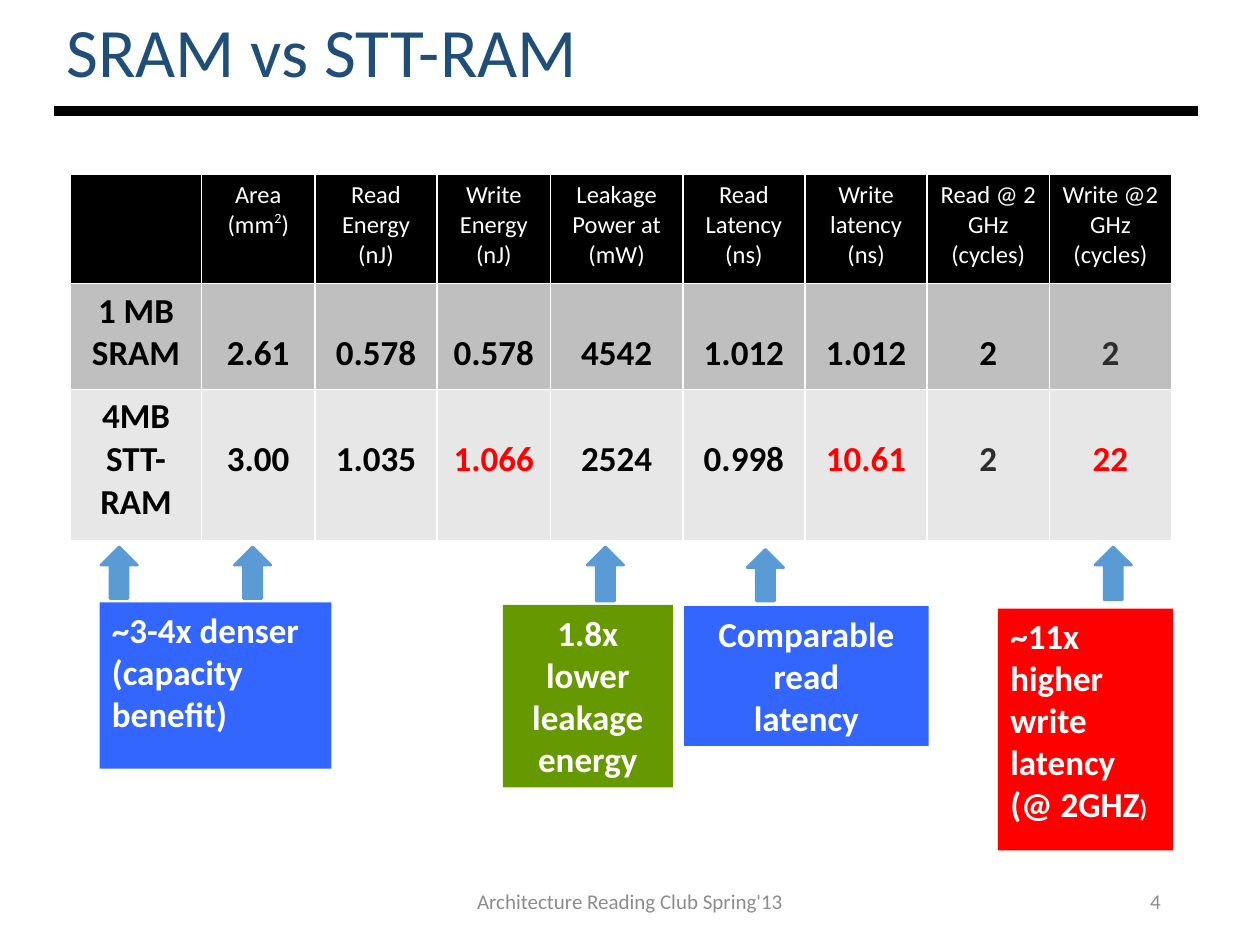
from dataclasses import dataclass

from lxml import etree
from pptx import Presentation
from pptx.dml.color import RGBColor
from pptx.enum.shapes import MSO_CONNECTOR, MSO_SHAPE
from pptx.enum.text import MSO_ANCHOR, PP_ALIGN
from pptx.oxml.ns import qn
from pptx.util import Inches, Pt

LEFT, CENTER, RIGHT = PP_ALIGN.LEFT, PP_ALIGN.CENTER, PP_ALIGN.RIGHT
TOP, MIDDLE = MSO_ANCHOR.TOP, MSO_ANCHOR.MIDDLE
UP_ARROW, RECTANGLE = MSO_SHAPE.UP_ARROW, MSO_SHAPE.RECTANGLE
STRAIGHT = MSO_CONNECTOR.STRAIGHT

FONT = "Calibri"
BLACK, WHITE, RED, BLUE, GREEN = "000000", "FFFFFF", "FF0000", "3366FF", "669900"
DARK_GRAY, FOOTER_GRAY, TITLE_BLUE, ARROW_BLUE = "2D2D2D", "8C8C8C", "1F4E79", "5B9BD5"

COLUMN_WIDTHS = [1.04, 0.9, 0.97, 0.9, 1.05, 0.97, 0.97, 0.97, 0.97]
HEADINGS = ["", "Area (mm", "Read Energy (nJ)", "Write Energy (nJ)",
            "Leakage Power at (mW)", "Read Latency (ns)", "Write latency (ns)",
            "Read @ 2 GHz (cycles)", "Write @2 GHz (cycles)"]
ONE_LINE_DOWN = 0.39  # top margin that sets a value on the second text line


@dataclass
class MemoryRow:
    height: float
    fill: str
    texts: list[str]
    colors: dict[int, str]


@dataclass
class Callout:
    box: tuple[float, float, float, float]
    fill: str
    lines: list[str]
    align: PP_ALIGN
    arrows: list[tuple[float, float, float]]  # left, top, height


MEMORIES = [
    MemoryRow(0.84, "BFBFBF", ["1 MB SRAM", "2.61", "0.578", "0.578", "4542",
                               "1.012", "1.012", "2", "2"], {8: DARK_GRAY}),
    MemoryRow(1.2, "E7E7E7", ["4MB STT-RAM", "3.00", "1.035", "1.066", "2524",
                              "0.998", "10.61", "2", "22"],
              {3: RED, 6: RED, 7: DARK_GRAY, 8: RED}),
]
CALLOUTS = [
    Callout((0.79, 4.78, 1.84, 1.32), BLUE, ["~3-4x denser (capacity benefit)"],
            LEFT, [(0.8, 4.34, 0.41), (1.86, 4.34, 0.41)]),
    Callout((3.99, 4.8, 1.35, 1.45), GREEN, ["1.8x lower leakage energy"],
            CENTER, [(4.66, 4.34, 0.43)]),
    Callout((5.43, 4.81, 1.94, 1.11), BLUE, ["Comparable read", "latency"],
            CENTER, [(5.93, 4.36, 0.41)]),
    Callout((7.92, 4.83, 1.39, 1.92), RED, ["~11x higher write latency", "(@ 2GHZ"],
            LEFT, [(8.69, 4.34, 0.42)]),
]


def rgb(color: str) -> RGBColor:
    return RGBColor.from_string(color)


def format_run(run, size: float, color: str, bold: bool = False) -> None:
    run.font.name = FONT
    run.font.size = Pt(size)
    run.font.bold = bold
    run.font.color.rgb = rgb(color)


def write(frame, lines: list[str], size: float, color: str, align: PP_ALIGN,
          bold: bool = False) -> None:
    frame.text = "\n".join(lines)
    frame.word_wrap = True
    for paragraph in frame.paragraphs:
        paragraph.alignment = align
        for run in paragraph.runs:
            format_run(run, size, color, bold)


def append_run(paragraph, text: str, size: float, color: str, bold: bool = False):
    run = paragraph.add_run()
    run.text = text
    format_run(run, size, color, bold)
    return run


def add_label(slide, box: tuple[float, ...], text: str, size: float, color: str,
              align: PP_ALIGN):
    frame = slide.shapes.add_textbox(*map(Inches, box)).text_frame
    frame.vertical_anchor = MIDDLE
    write(frame, [text], size, color, align)
    return frame


def add_title_rule(slide) -> None:
    rule = slide.shapes.add_connector(STRAIGHT, Inches(0.43), Inches(0.88),
                                      Inches(9.51), Inches(0.88))
    rule.line.color.rgb = rgb(BLACK)
    rule.line.width = Pt(6)
    etree.SubElement(rule._element.spPr, qn("a:effectLst"))


def style_cell(cell, fill: str) -> None:
    """Fill the cell and give it thin white borders."""
    cell.fill.solid()
    cell.fill.fore_color.rgb = rgb(fill)
    properties = cell._tc.get_or_add_tcPr()
    for index, side in enumerate(("lnL", "lnR", "lnT", "lnB")):
        border = etree.Element(qn(f"a:{side}"), w=str(Pt(1)))
        solid = etree.SubElement(border, qn("a:solidFill"))
        etree.SubElement(solid, qn("a:srgbClr"), val=WHITE)
        properties.insert(index, border)


def add_comparison_table(slide) -> None:
    heights = [0.87] + [memory.height for memory in MEMORIES]
    table = slide.shapes.add_table(
        len(heights), len(COLUMN_WIDTHS), Inches(0.56), Inches(1.38),
        Inches(sum(COLUMN_WIDTHS)), Inches(sum(heights))).table
    table.horz_banding = False
    for column, width in zip(table.columns, COLUMN_WIDTHS):
        column.width = Inches(width)
    for row, height in zip(table.rows, heights):
        row.height = Inches(height)

    for cell, heading in zip(table.rows[0].cells, HEADINGS):
        style_cell(cell, BLACK)
        write(cell.text_frame, [heading], 14, WHITE, CENTER)
    area = table.cell(0, 1).text_frame.paragraphs[0]
    exponent = append_run(area, "2", 14, WHITE)
    exponent._r.get_or_add_rPr().set("baseline", "40000")
    append_run(area, ")", 14, WHITE)

    for row_index, memory in enumerate(MEMORIES, 1):
        for column_index, text in enumerate(memory.texts):
            cell = table.cell(row_index, column_index)
            style_cell(cell, memory.fill)
            color = memory.colors.get(column_index, BLACK)
            write(cell.text_frame, [text], 20, color, CENTER, bold=True)
            if column_index:
                cell.margin_top = Inches(ONE_LINE_DOWN)


def add_filled_shape(slide, kind: MSO_SHAPE, box: tuple[float, ...], fill: str):
    shape = slide.shapes.add_shape(kind, *map(Inches, box))
    shape.shadow.inherit = False
    shape.fill.solid()
    shape.fill.fore_color.rgb = rgb(fill)
    shape.line.fill.background()
    return shape


def add_callout(slide, callout: Callout):
    for left, top, height in callout.arrows:
        arrow = add_filled_shape(slide, UP_ARROW, (left, top, 0.29, height), ARROW_BLUE)
        arrow.line.color.rgb = rgb(ARROW_BLUE)
        arrow.line.width = Pt(1.5)
    frame = add_filled_shape(slide, RECTANGLE, callout.box, callout.fill).text_frame
    frame.vertical_anchor = TOP
    write(frame, callout.lines, 20, WHITE, callout.align, bold=True)
    return frame


def main() -> None:
    presentation = Presentation()
    presentation.slide_width, presentation.slide_height = Inches(10), Inches(7.5)
    slide = presentation.slides.add_slide(presentation.slide_layouts[6])

    add_title_rule(slide)
    title = add_label(slide, (0.43, 0.11, 9.08, 0.66), "SRAM vs STT-RAM", 39.6,
                      TITLE_BLUE, LEFT)
    title.paragraphs[0].line_spacing = 0.9
    add_label(slide, (3.31, 6.95, 3.38, 0.4), "Architecture Reading Club Spring'13",
              12, FOOTER_GRAY, CENTER)
    add_label(slide, (7.06, 6.95, 2.25, 0.4), "4", 12, FOOTER_GRAY, RIGHT)
    add_comparison_table(slide)
    frames = [add_callout(slide, callout) for callout in CALLOUTS]
    append_run(frames[-1].paragraphs[-1], ")", 14, WHITE, bold=True)

    presentation.save("out.pptx")


if __name__ == "__main__":
    main()
